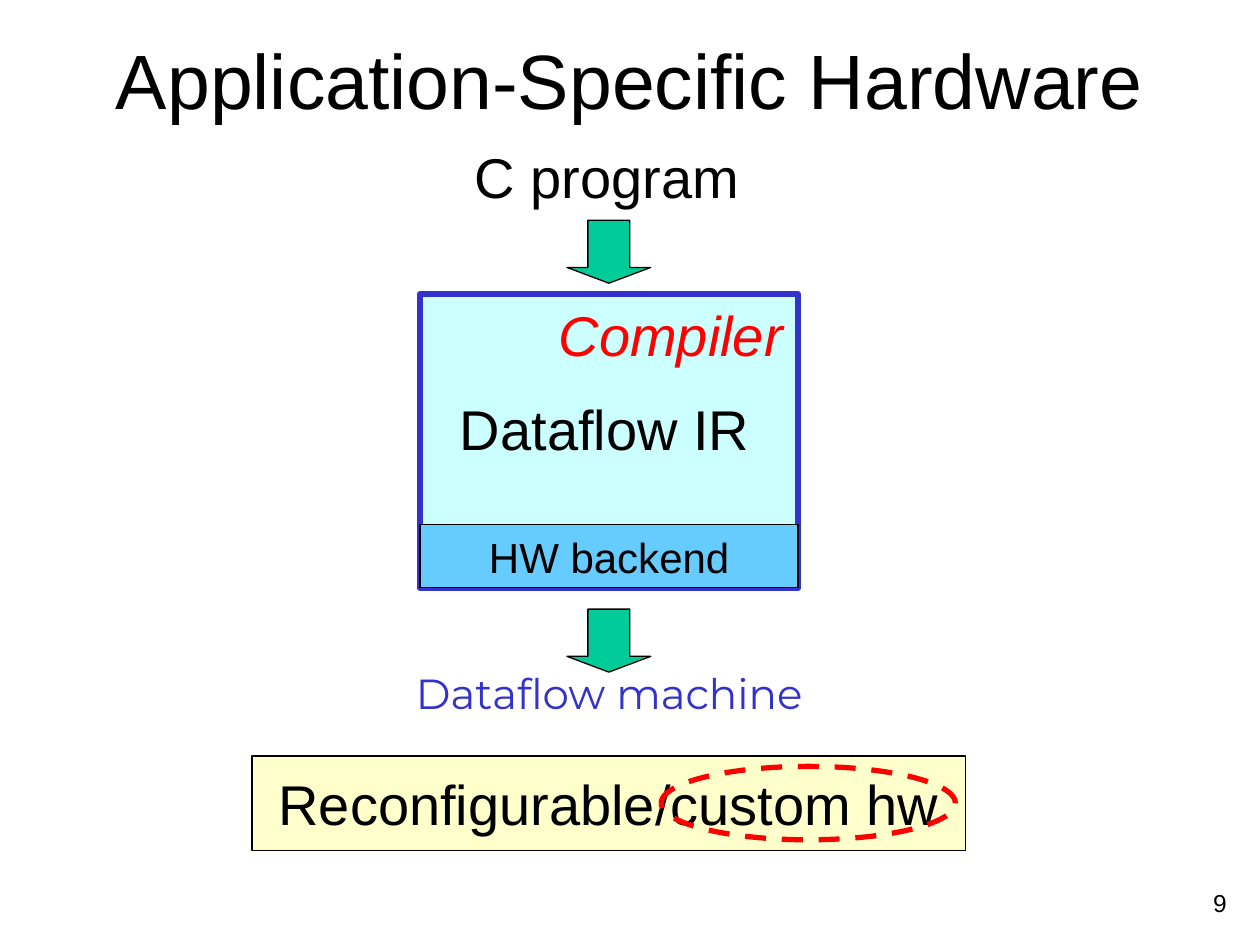
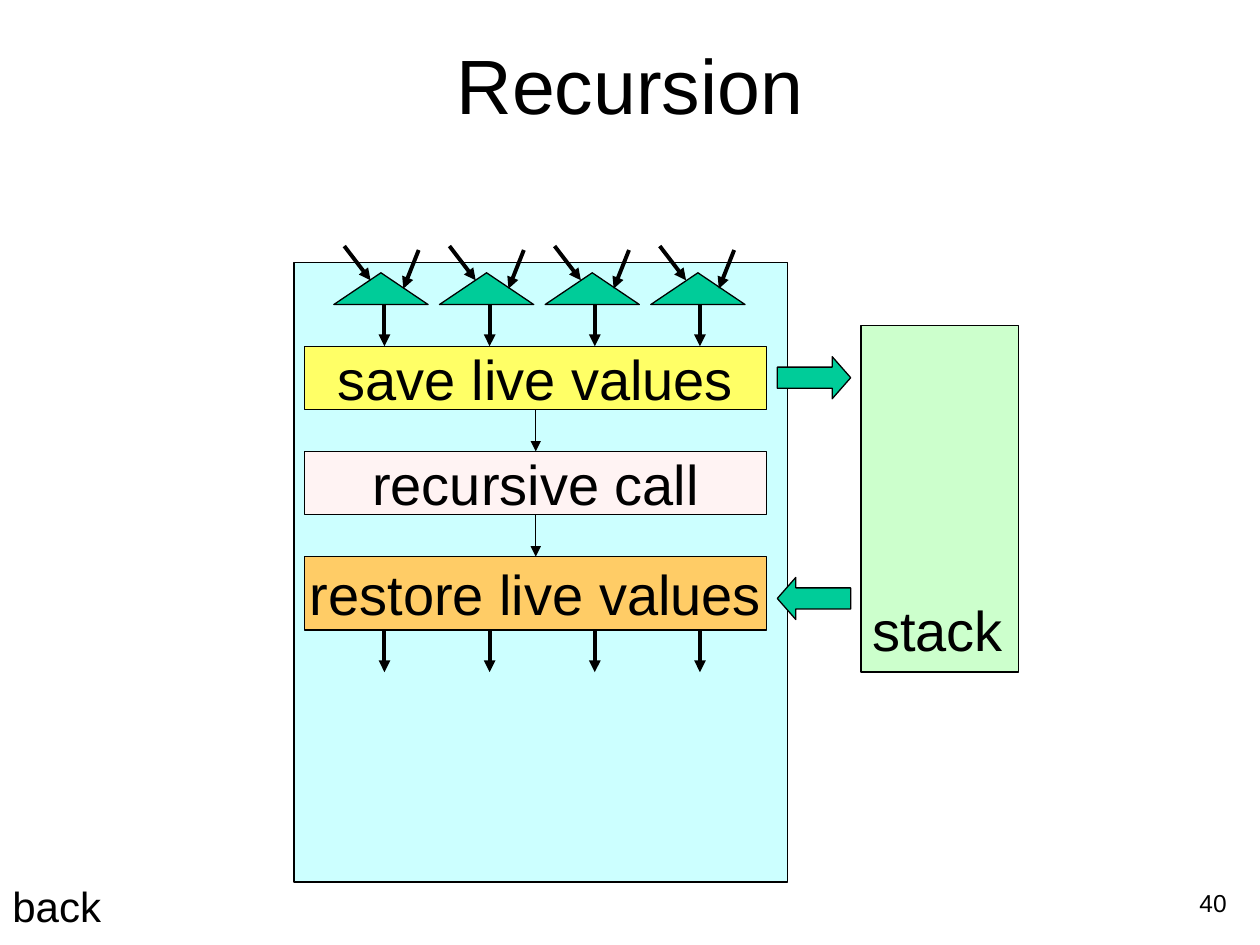
from dataclasses import dataclass

import pptx
import pptx.dml.color
import pptx.enum.dml
import pptx.enum.shapes
import pptx.enum.text
import pptx.oxml.ns
import pptx.util
from lxml import etree

Cm = pptx.util.Cm
Pt = pptx.util.Pt
RGBColor = pptx.dml.color.RGBColor
SHAPE = pptx.enum.shapes.MSO_SHAPE
ANCHOR = pptx.enum.text.MSO_ANCHOR
ALIGN = pptx.enum.text.PP_ALIGN

BLACK = RGBColor(0x00, 0x00, 0x00)
RED = RGBColor(0xFF, 0x00, 0x00)
BLUE = RGBColor(0x33, 0x33, 0xCC)
SKY = RGBColor(0x66, 0xCC, 0xFF)
CYAN = RGBColor(0xCC, 0xFF, 0xFF)
GREEN = RGBColor(0x00, 0xCC, 0x99)
MINT = RGBColor(0xCC, 0xFF, 0xCC)
CREAM = RGBColor(0xFF, 0xFF, 0xCC)
YELLOW = RGBColor(0xFF, 0xFF, 0x66)
PINK = RGBColor(0xFF, 0xF3, 0xF3)
ORANGE = RGBColor(0xFF, 0xCC, 0x66)

BODY_FONT = "Arial"
ACCENT_FONT = "Montserrat"
THIN, MEDIUM, THICK = 0.75, 2.25, 3


@dataclass
class Box:
    left: float
    top: float
    width: float
    height: float

    def inner(self, left, top, width, height):
        return Box(self.left + left, self.top + top, width, height)

    def lengths(self):
        return [Cm(v) for v in (self.left, self.top, self.width, self.height)]


def write(holder, text, size, color=BLACK, font=BODY_FONT, italic=False,
          align=ALIGN.CENTER, anchor=ANCHOR.MIDDLE, wrap=False):
    frame = holder.text_frame
    frame.word_wrap = wrap
    frame.vertical_anchor = anchor
    paragraph = frame.paragraphs[0]
    paragraph.alignment = align
    run = paragraph.add_run()
    run.text = text
    run.font.size = Pt(size)
    run.font.name = font
    run.font.italic = italic
    run.font.color.rgb = color


def add_label(slide, box, text, size, anchor=ANCHOR.TOP, **style):
    label = slide.shapes.add_textbox(*box.lengths())
    write(label, text, size, anchor=anchor, **style)


def add_figure(slide, kind, box, fill=None, line=BLACK, weight=THIN, adjust=()):
    figure = slide.shapes.add_shape(kind, *box.lengths())
    figure.shadow.inherit = False
    if fill is None:
        figure.fill.background()
    else:
        figure.fill.solid()
        figure.fill.fore_color.rgb = fill
    figure.line.color.rgb = line
    figure.line.width = Pt(weight)
    for index, value in enumerate(adjust):
        figure.adjustments[index] = value
    return figure


def add_arrow(slide, start=(0, 0), end=(0, 0), weight=MEDIUM):
    arrow = slide.shapes.add_connector(
        pptx.enum.shapes.MSO_CONNECTOR.STRAIGHT, *[Cm(v) for v in (*start, *end)])
    arrow.line.color.rgb = BLACK
    arrow.line.width = Pt(weight)
    qn = pptx.oxml.ns.qn
    etree.SubElement(arrow.line._get_or_add_ln(), qn("a:tailEnd"), type="triangle")
    etree.SubElement(arrow._element.spPr, qn("a:effectLst"))
    return arrow


def add_slide(deck, title, title_box, number):
    slide = deck.slides.add_slide(deck.slide_layouts[6])
    add_label(slide, title_box, title, 44, anchor=ANCHOR.MIDDLE, wrap=True)
    add_label(slide, Box(20.11, 17.78, 4.87, 1.27), number, 14,
              align=ALIGN.RIGHT, wrap=True)
    return slide


def draw_compiler(slide, box):
    add_figure(slide, SHAPE.RECTANGLE, box, CYAN, BLUE, THICK)
    add_label(slide, box.inner(2.54, 0, 5.03, 1.63), "Compiler", 32,
              color=RED, italic=True)
    add_label(slide, box.inner(0.55, 1.9, 6.35, 1.63), "Dataflow IR", 32)
    backend_height = 1.27
    backend = add_figure(
        slide, SHAPE.RECTANGLE,
        box.inner(0, box.height - backend_height - 0.01, box.width, backend_height), SKY)
    write(backend, "HW backend", 24)


def draw_flow_arrow(slide, box):
    add_figure(slide, SHAPE.DOWN_ARROW, box, GREEN, adjust=(0.5, 0.25))


def draw_target(slide, box):
    target = add_figure(slide, SHAPE.RECTANGLE, box, CREAM)
    write(target, "Reconfigurable/custom hw", 32)
    highlight = add_figure(slide, SHAPE.OVAL, box.inner(8.25, 0.21, 5.93, 1.48),
                           line=RED, weight=THICK)
    highlight.line.dash_style = pptx.enum.dml.MSO_LINE.DASH


def build_hardware_slide(deck):
    slide = add_slide(deck, "Application-Specific Hardware",
                      Box(1.9, 0.64, 21.6, 1.9), "9")
    add_label(slide, Box(9.32, 2.75, 5.84, 1.63), "C program", 32)
    draw_compiler(slide, Box(8.47, 5.93, 7.62, 5.93))
    for top in (4.44, 12.28):
        draw_flow_arrow(slide, Box(11.43, top, 1.69, 1.27))
    add_label(slide, Box(7.2, 13.34, 10.16, 1.69), "Dataflow machine", 24,
              color=BLUE, font=ACCENT_FONT)
    draw_target(slide, Box(5.08, 15.24, 14.39, 1.9))


def draw_merge(slide, box):
    add_figure(slide, SHAPE.ISOSCELES_TRIANGLE, box, GREEN)


def draw_ports(slide, box):
    for port in range(4):
        draw_merge(slide, box.inner(0.8 + 2.13 * port, 0.21, 1.9, 0.64))
        stem = box.left + 1.82 + 2.12 * port
        for start, end in (((-0.81, -0.33), (-0.28, 0.36)),
                           ((0.69, -0.25), (0.38, 0.53)),
                           ((0, 0.85), (0, 1.69)),
                           ((0, 7.41), (0, 8.26))):
            add_arrow(slide, (stem + start[0], box.top + start[1]),
                      (stem + end[0], box.top + end[1]))


def draw_steps(slide, box):
    top, gap, previous = 1.69, 0.85, None
    for text, fill, height in (("save live values", YELLOW, 1.27),
                               ("recursive call", PINK, 1.27),
                               ("restore live values", ORANGE, 1.48)):
        step = add_figure(slide, SHAPE.RECTANGLE,
                          box.inner(0.21, top, 9.32, height), fill)
        write(step, text, 32)
        if previous is not None:
            link = add_arrow(slide, weight=THIN)
            link.begin_connect(previous, 2)
            link.end_connect(step, 0)
        previous = step
        top += height + gap


def draw_procedure(slide, box):
    add_figure(slide, SHAPE.RECTANGLE, box, CYAN)
    draw_steps(slide, box)
    draw_ports(slide, box)
    for kind, top in ((SHAPE.RIGHT_ARROW, 1.9), (SHAPE.LEFT_ARROW, 6.35)):
        add_figure(slide, kind, box.inner(9.74, top, 1.48, 0.85), GREEN,
                   adjust=(0.5, 0.44))


def draw_stack(slide, box):
    add_figure(slide, SHAPE.RECTANGLE, box, MINT)
    add_label(slide, box.inner(-0.03, 5.33, 3.15, 1.63), "stack", 32)


def build_recursion_slide(deck):
    slide = add_slide(deck, "Recursion", Box(1.9, 0.85, 21.6, 1.69), "40")
    draw_procedure(slide, Box(5.93, 5.29, 9.95, 12.49))
    draw_stack(slide, Box(17.36, 6.56, 3.18, 6.99))
    add_label(slide, Box(0, 17.63, 2.29, 1.27), "back", 24)


def main():
    deck = pptx.Presentation()
    deck.slide_width, deck.slide_height = Cm(25.4), Cm(19.05)
    build_hardware_slide(deck)
    build_recursion_slide(deck)
    deck.save("out.pptx")


if __name__ == "__main__":
    main()
